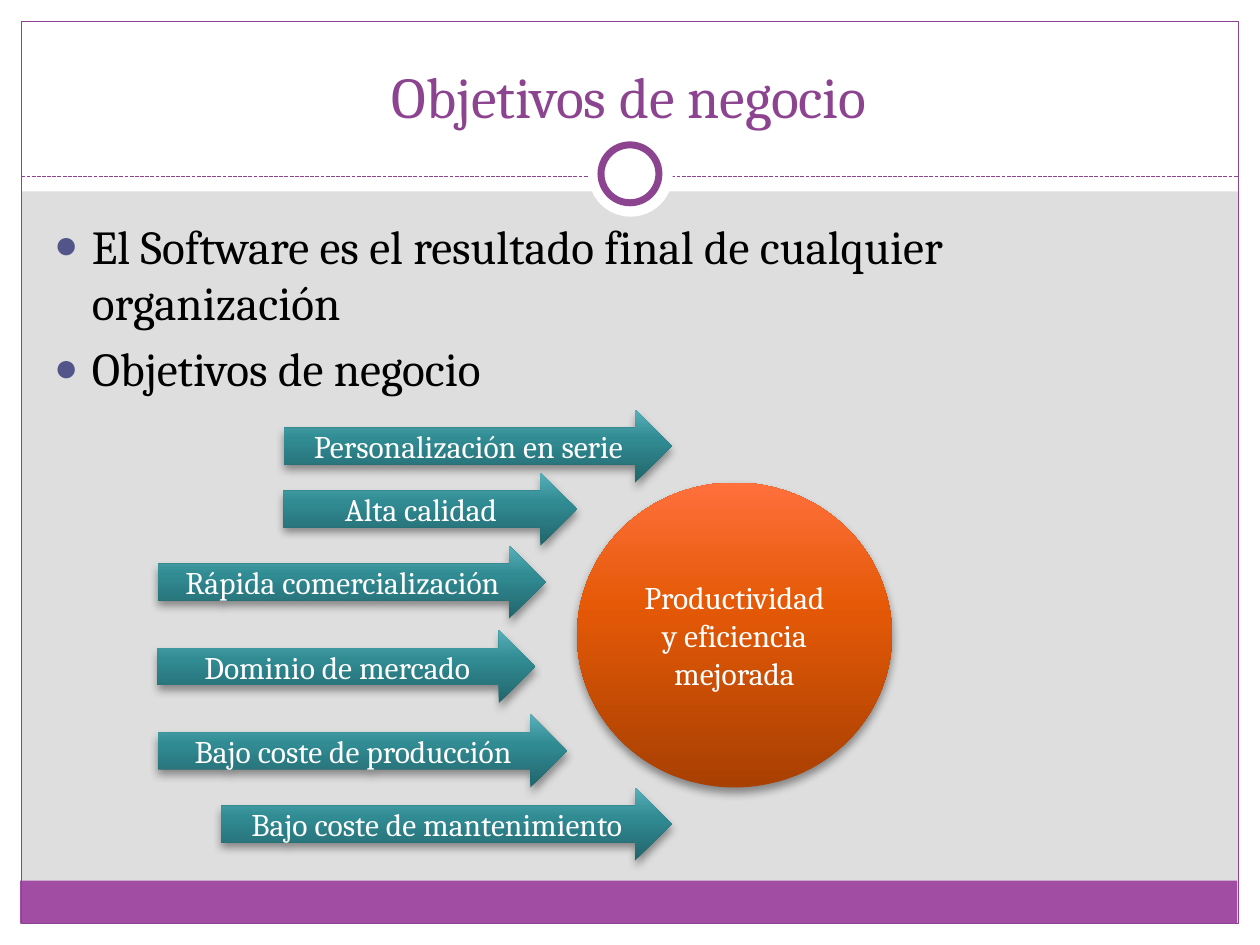
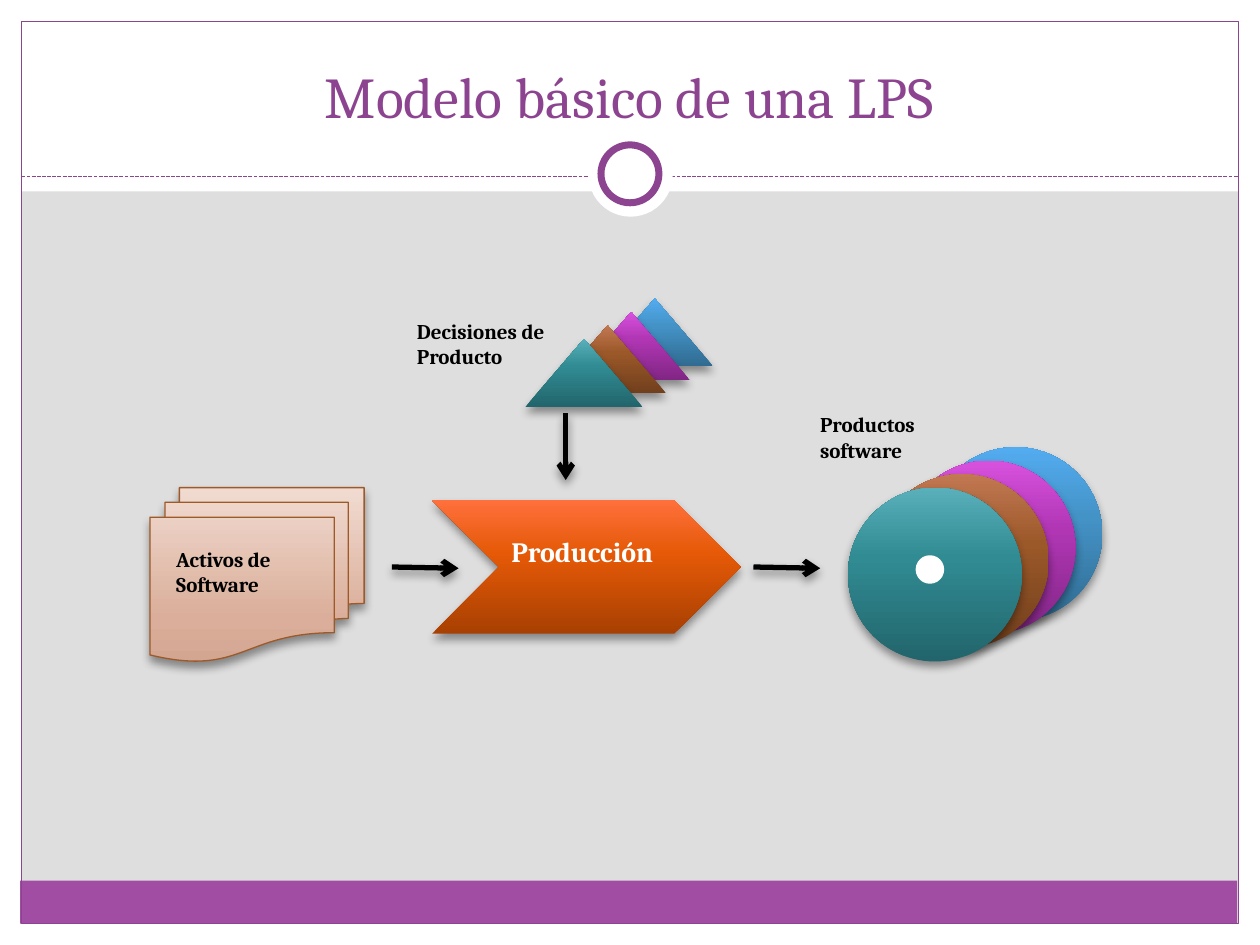
from lxml import etree
from pptx import Presentation
from pptx import util as u
from pptx.dml.color import RGBColor
from pptx.enum import dml, shapes, text
from pptx.oxml.ns import qn

Inches, Pt = u.Inches, u.Pt
KIND = shapes.MSO_SHAPE

FONT = "Cambria"
WHITE = RGBColor(0xFF, 0xFF, 0xFF)
BLACK = RGBColor(0, 0, 0)
GREY = RGBColor(0xDE, 0xDE, 0xDE)
PURPLE = RGBColor(0x8D, 0x44, 0x90)
BAND = RGBColor(0xA0, 0x4D, 0xA3)
BULLET = RGBColor(0x53, 0x54, 0x8A)
BROWN_LINE = RGBColor(0x9E, 0x59, 0x29)


def ramp(*stops):
    """Gradient stops, bottom to top, as (percent, colour) pairs."""
    return [(percent, RGBColor.from_string(code)) for percent, code in stops]


ORANGE = ramp((0, "A84002"), (60, "E55907"), (100, "FF703C"))
TEAL = ramp((0, "22656C"), (60, "318B93"), (100, "59B0BA"))
BROWN = ramp((0, "713F1C"), (60, "9B5829"), (100, "C27852"))
MAGENTA = ramp((0, "812684"), (60, "B036B4"), (100, "D751DD"))
BLUE = ramp((0, "306B91"), (60, "4493C7"), (100, "53ACF0"))
PAPER = ramp((0, "D3A692"), (25, "DAAE9A"), (100, "F1DBD1"))
STACK = [BLUE, MAGENTA, BROWN, TEAL]  # back to front


def add_node(parent, tag, **values):
    node = etree.SubElement(parent, qn(tag))
    for name, value in values.items():
        node.set(name, str(value))
    return node


def set_all(target, **values):
    for name, value in values.items():
        setattr(target, name, value)


def place(shape, left, top, width, height):
    set_all(shape, left=Inches(left), top=Inches(top),
            width=Inches(width), height=Inches(height))


def style_font(para, size, color, bold=False):
    set_all(para.font, name=FONT, size=Pt(size), bold=bold)
    para.font.color.rgb = color


def paint(shape, fill):
    """Fill with a plain colour, a list of gradient stops, or nothing."""
    if fill is None:
        shape.fill.background()
    elif isinstance(fill, RGBColor):
        shape.fill.solid()
        shape.fill.fore_color.rgb = fill
    else:
        shape.fill.gradient()
        shape.fill.gradient_angle = 90
        stops = shape._element.spPr.find(".//" + qn("a:gsLst"))
        stops.clear()
        for percent, color in fill:
            stop = add_node(stops, "a:gs", pos=percent * 1000)
            add_node(stop, "a:srgbClr", val=color)


def cast_shadow(effects):
    shadow = add_node(effects, "a:outerShdw", blurRad=Pt(5.2), dist=Pt(3),
                      dir=5400000, rotWithShape=0)
    color = add_node(shadow, "a:srgbClr", val=BLACK)
    add_node(color, "a:alpha", val=40000)


def add_figure(page, kind, box, fill, line=None, width=0.75, shadow=False):
    left, top, wide, high = map(Inches, box)
    shape = page.shapes.add_shape(kind, left, top, wide, high)
    paint(shape, fill)
    if line is None:
        shape.line.fill.background()
    else:
        shape.line.color.rgb = line
        shape.line.width = Pt(width)
    shape.shadow.inherit = False
    if shadow:
        cast_shadow(shape._element.spPr.find(qn("a:effectLst")))
    return shape


def add_line(page, start, end, color, width):
    line = page.shapes.add_connector(shapes.MSO_CONNECTOR.STRAIGHT,
                                     *map(Inches, (*start, *end)))
    line.line.color.rgb = color
    line.line.width = Pt(width)
    effects = add_node(line._element.spPr, "a:effectLst")
    return line, effects


def add_flow_arrow(page, start, end):
    line, effects = add_line(page, start, end, BLACK, 3)
    add_node(line._element.spPr.find(qn("a:ln")), "a:tailEnd", type="arrow")
    cast_shadow(effects)


def write_centred(shape, words):
    frame = shape.text_frame
    set_all(frame, text=words, word_wrap=True,
            vertical_anchor=text.MSO_ANCHOR.MIDDLE)
    para = frame.paragraphs[0]
    para.alignment = text.PP_ALIGN.CENTER
    style_font(para, 18, WHITE)


def add_label(page, words, left, top, width=1.38, height=0.5, size=12, color=BLACK):
    label = page.shapes.add_textbox(*map(Inches, (left, top, width, height)))
    set_all(label.text_frame, text=words, word_wrap=True)
    style_font(label.text_frame.paragraphs[0], size, color, bold=True)


def add_stack(page, kind, left, top, size, step):
    """Overlapping copies rising to the right; left and top are the front one's."""
    for depth, fill in zip(reversed(range(len(STACK))), STACK):
        corner = left + depth * step, top - depth * 0.107
        add_figure(page, kind, (*corner, *size), fill, shadow=True)


def build_master(deck, page):
    """Draw the shared frame on a page and move it behind the master's text."""
    master = deck.slide_master
    master.background.fill.solid()
    master.background.fill.fore_color.rgb = GREY
    margins = [(0, 7.33, 10, 0.17), (0, 0, 10, 1.52),
               (0, 0, 0.17, 7.5), (9.83, 0, 0.17, 7.5)]
    parts = [add_figure(page, KIND.RECTANGLE, box, WHITE) for box in margins]
    parts.append(add_figure(page, KIND.RECTANGLE, (0.16, 6.99, 9.66, 0.34), BAND))
    parts.append(add_figure(page, KIND.RECTANGLE, (0.17, 0.17, 9.66, 7.16),
                            None, PURPLE))
    rule, _ = add_line(page, (0.17, 1.4), (9.83, 1.4), PURPLE, 0.75)
    rule.line.dash_style = dml.MSO_LINE.SQUARE_DOT
    parts.append(rule)
    parts.append(add_figure(page, KIND.OVAL, (4.67, 1.05, 0.67, 0.67), WHITE))
    parts.append(add_figure(page, KIND.OVAL, (4.77, 1.15, 0.46, 0.46),
                            WHITE, PURPLE, 4))
    for order, part in enumerate(parts):
        part._element.find(".//" + qn("p:cNvPr")).set("id", str(100 + order))
        master.shapes._spTree.insert(2 + order, part._element)


def write_title(page, words):
    title = page.shapes.title
    place(title, 0.33, 0.25, 9.33, 0.83)
    set_all(title.text_frame, text=words, auto_size=text.MSO_AUTO_SIZE.NONE,
            vertical_anchor=text.MSO_ANCHOR.BOTTOM)
    para = title.text_frame.paragraphs[0]
    para.alignment = text.PP_ALIGN.CENTER
    style_font(para, 33, PURPLE)


def write_bullets(body, items):
    place(body, 0.33, 1.67, 9.3, 5.33)
    frame = body.text_frame
    set_all(frame, text="\n".join(items), auto_size=text.MSO_AUTO_SIZE.NONE)
    for order, para in enumerate(frame.paragraphs):
        para.space_before = Pt(5.4 if order else 0)
        props = para._p.get_or_add_pPr()
        props.set("marL", str(Inches(0.3)))
        props.set("indent", str(Inches(-0.3)))
        add_node(add_node(props, "a:buClr"), "a:srgbClr", val=BULLET)
        add_node(props, "a:buSzPct", val=85000)
        add_node(props, "a:buFont", typeface="Arial")
        add_node(props, "a:buChar", char="●")
        style_font(para, 27, BLACK)


def draw_goals(page, left, top):
    """Arrows, given as offset and width, around the result circle."""
    circle = add_figure(page, KIND.OVAL, (left + 3.33, top + 0.58, 2.5, 2.42),
                        ORANGE, shadow=True)
    write_centred(circle, "Productividad y eficiencia mejorada")
    goals = [("Personalización en serie", 1, 0, 3.08),
             ("Alta calidad", 1, 0.5, 2.33),
             ("Rápida comercialización", 0, 1.08, 3.08),
             ("Dominio de mercado", 0, 1.75, 3),
             ("Bajo coste de producción", 0, 2.42, 3.25),
             ("Bajo coste de mantenimiento", 0.5, 3, 3.58)]
    for words, across, down, width in goals:
        box = (left + across, top + down, width, 0.58)
        write_centred(add_figure(page, KIND.RIGHT_ARROW, box, TEAL, shadow=True),
                      words)


def draw_production(page, left, top):
    add_figure(page, KIND.CHEVRON, (left, top, 2.45, 1.06), ORANGE, shadow=True)
    add_label(page, "Producción", left + 0.53, top + 0.22, 1.81, 0.37, 16, WHITE)


def draw_assets(page, left, top):
    add_figure(page, KIND.FLOWCHART_MULTIDOCUMENT, (left, top, 1.7, 1.38),
               PAPER, BROWN_LINE, shadow=True)
    add_label(page, "Activos de Software", left + 0.11, top + 0.42)


def draw_decisions(page, left, top):
    add_stack(page, KIND.ISOSCELES_TRIANGLE, left + 0.96, top + 0.32,
              (0.93, 0.54), 0.187)
    add_label(page, "Decisiones de Producto", left, top + 0.11)


def draw_products(page, left, top):
    add_stack(page, KIND.OVAL, left + 0.32, top + 0.65, (1.38, 1.38), 0.213)
    add_figure(page, KIND.OVAL, (left + 0.88, top + 1.21, 0.18, 0.18),
               WHITE, WHITE, 3.35)
    add_label(page, "Productos software", left, top)


def build_goals(page):
    write_title(page, "Objetivos de negocio")
    write_bullets(page.placeholders[1], [
        "El Software es el resultado final de cualquier organización",
        "Objetivos de negocio"])
    draw_goals(page, 1.25, 3.25)


def build_model(page):
    write_title(page, "Modelo básico de una LPS")
    for start, end in [((5.98, 4.5), (6.51, 4.51)),
                       ((3.11, 4.5), (3.64, 4.51)),
                       ((4.49, 3.28), (4.49, 3.81))]:
        add_flow_arrow(page, start, end)
    draw_production(page, 3.43, 3.97)
    draw_assets(page, 1.19, 3.87)
    draw_decisions(page, 3.21, 2.37)
    draw_products(page, 6.41, 3.22)


def main():
    deck = Presentation()
    set_all(deck, slide_width=Inches(10), slide_height=Inches(7.5))
    goals = deck.slides.add_slide(deck.slide_layouts[1])
    model = deck.slides.add_slide(deck.slide_layouts[5])
    build_master(deck, goals)
    build_goals(goals)
    build_model(model)
    deck.save("out.pptx")


if __name__ == "__main__":
    main()
